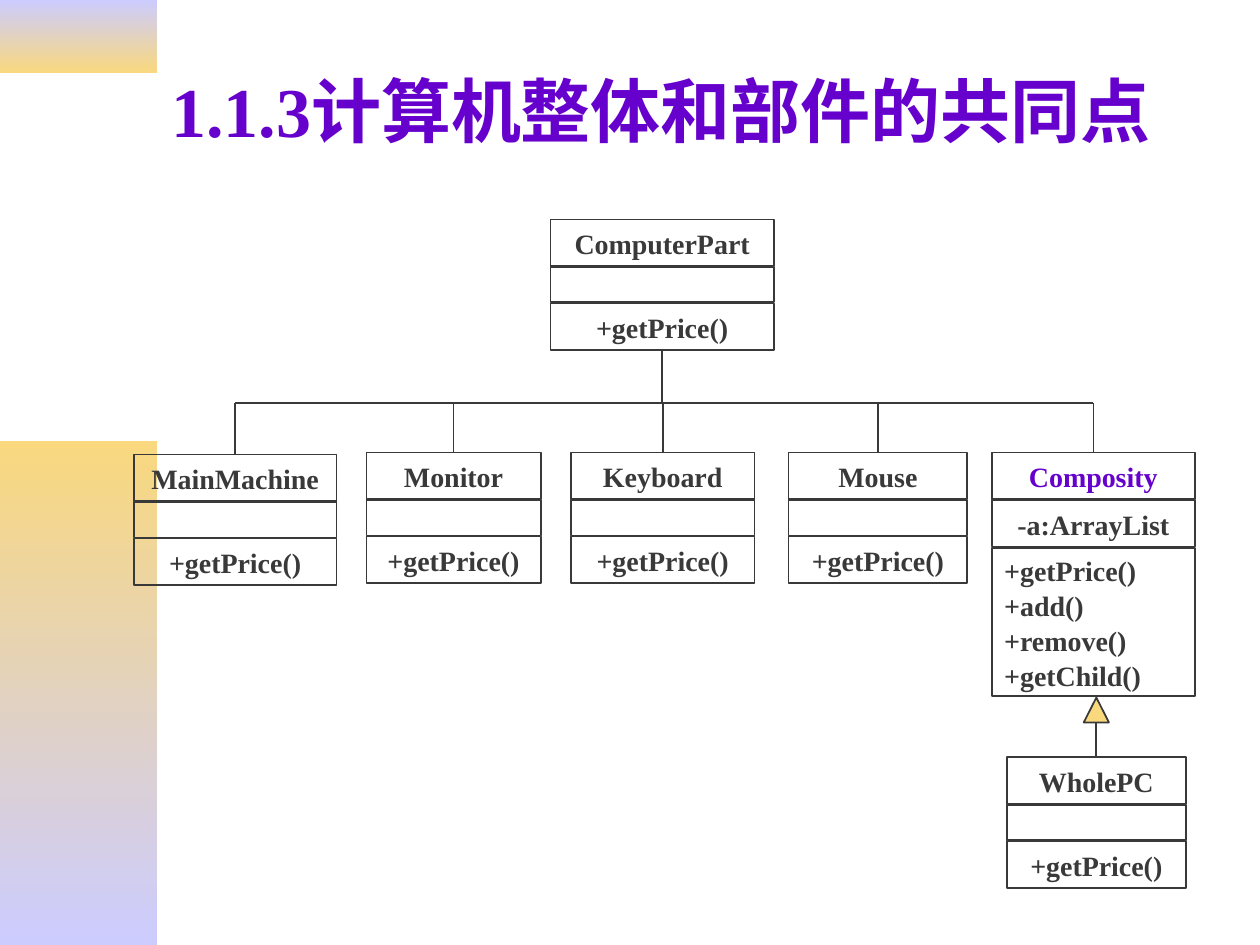
"""Build a class diagram slide showing what a computer and its parts have in common."""
from lxml.etree import SubElement
from pptx import Presentation
from pptx.dml.color import RGBColor
from pptx.enum.shapes import MSO_CONNECTOR, MSO_SHAPE
from pptx.enum.text import MSO_ANCHOR, PP_ALIGN
from pptx.oxml.ns import qn
from pptx.util import Pt

FONT = "Times New Roman"
INK, PURPLE, LAVENDER, GOLD = "393939", "6600CC", "CCCCFF", "F9D87E"
ROW_GAP = 0.6
BUS_Y = 230.4


def color(hex_code):
    return RGBColor.from_string(hex_code)


def add_link(x1, y1, x2, y2):
    link = slide.shapes.add_connector(MSO_CONNECTOR.STRAIGHT, Pt(x1), Pt(y1), Pt(x2), Pt(y2))
    link.line.color.rgb = color(INK)
    link.line.width = Pt(1)
    SubElement(link._element.spPr, qn("a:effectLst"))
    return link


prs = Presentation()
prs.slide_width, prs.slide_height = Pt(720), Pt(540)
slide = prs.slides.add_slide(prs.slide_layouts[5])

for top, height, start, end in [(0, 41.8, LAVENDER, GOLD), (252, 288, GOLD, LAVENDER)]:
    band = slide.shapes.add_shape(MSO_SHAPE.RECTANGLE, 0, Pt(top), Pt(90), Pt(height))
    band.shadow.inherit = False
    band.line.fill.background()
    band.fill.gradient()
    band.fill.gradient_angle = 270
    for stop, position, shade in zip(band.fill.gradient_stops, (0, 1), (start, end)):
        stop.position = position
        stop.color.rgb = color(shade)

title = slide.shapes.title
title.left, title.top, title.width, title.height = Pt(90.7), Pt(15.1), Pt(612), Pt(95)
title.text_frame.text = "1.1.3计算机整体和部件的共同点"
title.text_frame.vertical_anchor = MSO_ANCHOR.MIDDLE
heading = title.text_frame.paragraphs[0]
heading.alignment = PP_ALIGN.LEFT
heading.font.name = FONT
heading.font.size = Pt(40)
heading.font.bold = True
heading.font.color.rgb = color(PURPLE)

PRICE = "+getPrice()"
classes = [
    ("ComputerPart", 314.6, 125.4, 127.6, "", PRICE),
    ("MainMachine", 76.4, 259.8, 116, "", PRICE),
    ("Monitor", 209.4, 258.6, 99.6, "", PRICE),
    ("Keyboard", 326.2, 258.6, 105, "", PRICE),
    ("Mouse", 450.6, 258.6, 102.2, "", PRICE),
    ("Composity", 566.8, 258.6, 116, "-a:ArrayList", PRICE + "\n+add()\n+remove()\n+getChild()"),
    ("WholePC", 575.4, 432.7, 102.2, "", PRICE),
]
name_boxes, method_boxes, centers = {}, {}, {}
for name, left, top, width, attribute, methods in classes:
    centers[name] = left + width / 2
    y = top
    for content in (name, attribute, methods):
        height = 7.2 + 19.4 * len(content.split("\n")) if content else 20.2
        row = slide.shapes.add_shape(MSO_SHAPE.RECTANGLE, Pt(left), Pt(y), Pt(width), Pt(height))
        row.shadow.inherit = False
        row.fill.background()
        row.line.color.rgb = color(INK)
        row.line.width = Pt(1)
        if content:
            row.text_frame.text = content
            row.text_frame.word_wrap = True
            for paragraph in row.text_frame.paragraphs:
                paragraph.alignment = PP_ALIGN.LEFT if "\n" in content else PP_ALIGN.CENTER
                paragraph.line_spacing = 1.05
                paragraph.font.name = FONT
                paragraph.font.size = Pt(16)
                paragraph.font.bold = True
                paragraph.font.color.rgb = color(PURPLE if content == "Composity" else INK)
        if content == name:
            name_boxes[name] = row
        y += height + ROW_GAP
    method_boxes[name] = row

parts = ["MainMachine", "Monitor", "Keyboard", "Mouse", "Composity"]
for part in parts:
    branch = add_link(centers[part], BUS_Y, centers[part], 258.6)
    branch.end_connect(name_boxes[part], 0)
root_x = centers["ComputerPart"]
trunk = add_link(root_x, 200.4, root_x, BUS_Y)
trunk.begin_connect(method_boxes["ComputerPart"], 2)
add_link(centers[parts[0]], BUS_Y, centers[parts[-1]], BUS_Y)

whole_x = centers["WholePC"]
arrow = slide.shapes.add_shape(MSO_SHAPE.ISOSCELES_TRIANGLE, Pt(whole_x - 7.2), Pt(398.6), Pt(14.4), Pt(14.2))
arrow.shadow.inherit = False
arrow.fill.solid()
arrow.fill.fore_color.rgb = color(GOLD)
arrow.line.color.rgb = color(INK)
arrow.line.width = Pt(1)
stem = add_link(whole_x, 412.8, whole_x, 432.7)
stem.end_connect(name_boxes["WholePC"], 0)

prs.save("out.pptx")
